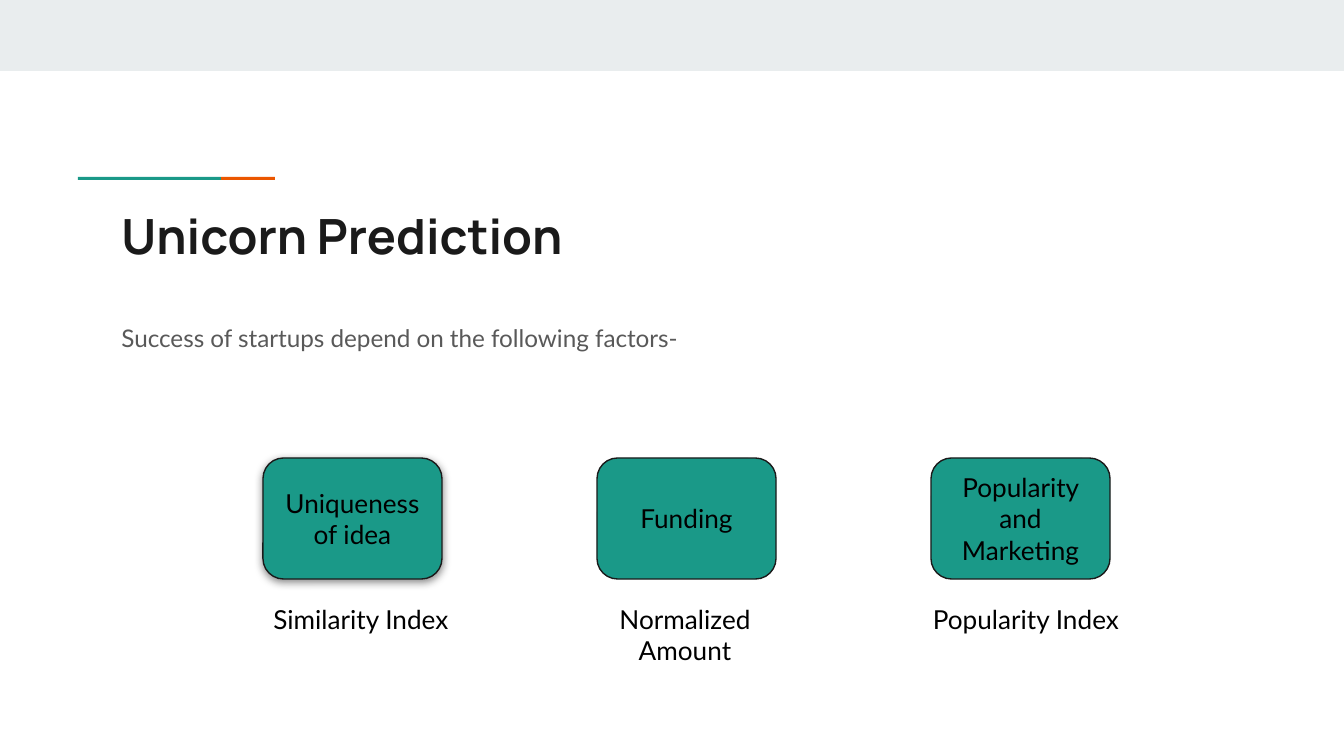
"""Build the Unicorn Prediction slide with its three success factors."""
import pptx
import pptx.dml.color
import pptx.enum.shapes
import pptx.enum.text
import pptx.oxml
import pptx.oxml.ns
import pptx.util

PX = 914400 / 134.4
TEAL = pptx.dml.color.RGBColor(0x1A, 0x99, 0x88)
ORANGE = pptx.dml.color.RGBColor(0xEB, 0x56, 0x00)
PALE = pptx.dml.color.RGBColor(0xE9, 0xED, 0xEE)
DARK = pptx.dml.color.RGBColor(0x1A, 0x1A, 0x1A)
GREY = pptx.dml.color.RGBColor(0x59, 0x59, 0x59)
BLACK = pptx.dml.color.RGBColor(0, 0, 0)
SHAPES = pptx.enum.shapes.MSO_SHAPE
ALIGN = pptx.enum.text.PP_ALIGN
ANCHOR = pptx.enum.text.MSO_ANCHOR

BOX_LEFT, BOX_STEP, BOX_TOP = 263, 334, 458
FACTORS = [
    ("Uniqueness of idea", "Similarity Index", 248),
    ("Funding", "Normalized Amount", 572),
    ("Popularity and Marketing", "Popularity Index", 913),
]
SHADOW = (
    '<a:effectLst xmlns:a="http://schemas.openxmlformats.org/drawingml/2006/main">'
    '<a:outerShdw blurRad="57150" dist="19050" dir="5400000" algn="bl" rotWithShape="0">'
    '<a:srgbClr val="1A1A1A"><a:alpha val="50000"/></a:srgbClr>'
    "</a:outerShdw></a:effectLst>"
)


def px(*lengths):
    return [pptx.util.Emu(round(length * PX)) for length in lengths]


def write_text(shape, text, size=14, font="Lato", color=BLACK, bold=False,
               align=ALIGN.CENTER, anchor=ANCHOR.TOP, spacing=1.0):
    frame = shape.text_frame
    frame.word_wrap = True
    frame.auto_size = pptx.enum.text.MSO_AUTO_SIZE.NONE
    frame.vertical_anchor = anchor
    margin = pptx.util.Inches(0.1)
    frame.margin_left = frame.margin_right = margin
    frame.margin_top = frame.margin_bottom = margin
    paragraph = frame.paragraphs[0]
    paragraph.alignment = align
    paragraph.line_spacing = spacing
    paragraph.space_before = pptx.util.Pt(0)
    run = paragraph.add_run()
    run.text = text
    run.font.size = pptx.util.Pt(size)
    run.font.name = font
    run.font.bold = bold
    run.font.color.rgb = color


def fill_placeholder(shape, bounds, text, **style):
    shape.left, shape.top, shape.width, shape.height = px(*bounds)
    write_text(shape, text, align=ALIGN.LEFT, **style)


def remove_bullet(paragraph):
    properties = paragraph._p.get_or_add_pPr()
    properties.set("marL", "0")
    properties.set("indent", "0")
    properties.append(properties.makeelement(pptx.oxml.ns.qn("a:buNone"), {}))


def add_block(slide, kind, bounds, fill):
    shape = slide.shapes.add_shape(kind, *px(*bounds))
    shape.shadow.inherit = False
    shape.fill.solid()
    shape.fill.fore_color.rgb = fill
    shape.line.fill.background()
    return shape


def add_factor(slide, left, text):
    shape = add_block(slide, SHAPES.ROUNDED_RECTANGLE, (left, BOX_TOP, 179, 121), TEAL)
    shape.adjustments[0] = 0.17
    shape.line.color.rgb = DARK
    shape.line.width = pptx.util.Pt(0.75)
    write_text(shape, text, anchor=ANCHOR.MIDDLE)
    return shape


def add_caption(slide, left, text):
    write_text(slide.shapes.add_textbox(*px(left, 590, 226, 48)), text)


def add_shadow(shape):
    properties = shape._element.spPr
    empty = properties.find(pptx.oxml.ns.qn("a:effectLst"))
    properties.replace(empty, pptx.oxml.parse_xml(SHADOW))


def main():
    presentation = pptx.Presentation()
    presentation.slide_width, presentation.slide_height = px(1344, 756)
    slide = presentation.slides.add_slide(presentation.slide_layouts[1])

    add_block(slide, SHAPES.RECTANGLE, (0, 0, 1344, 71), PALE)
    add_block(slide, SHAPES.RECTANGLE, (221, 177, 54, 3), ORANGE)
    add_block(slide, SHAPES.RECTANGLE, (78, 177, 143, 3), TEAL)

    fill_placeholder(slide.shapes.title, (108, 193, 1130, 80), "Unicorn Prediction",
                     size=26, font="Manrope", color=DARK, bold=True)
    body = slide.placeholders[1]
    fill_placeholder(body, (108, 305, 1130, 80),
                     "Success of startups depend on the following factors-",
                     size=13, color=GREY, spacing=1.15)
    remove_bullet(body.text_frame.paragraphs[0])

    boxes = []
    for index, (factor, measure, caption_left) in enumerate(FACTORS):
        boxes.append(add_factor(slide, BOX_LEFT + index * BOX_STEP, factor))
        add_caption(slide, caption_left, measure)
    add_shadow(boxes[0])

    presentation.save("out.pptx")


if __name__ == "__main__":
    main()
